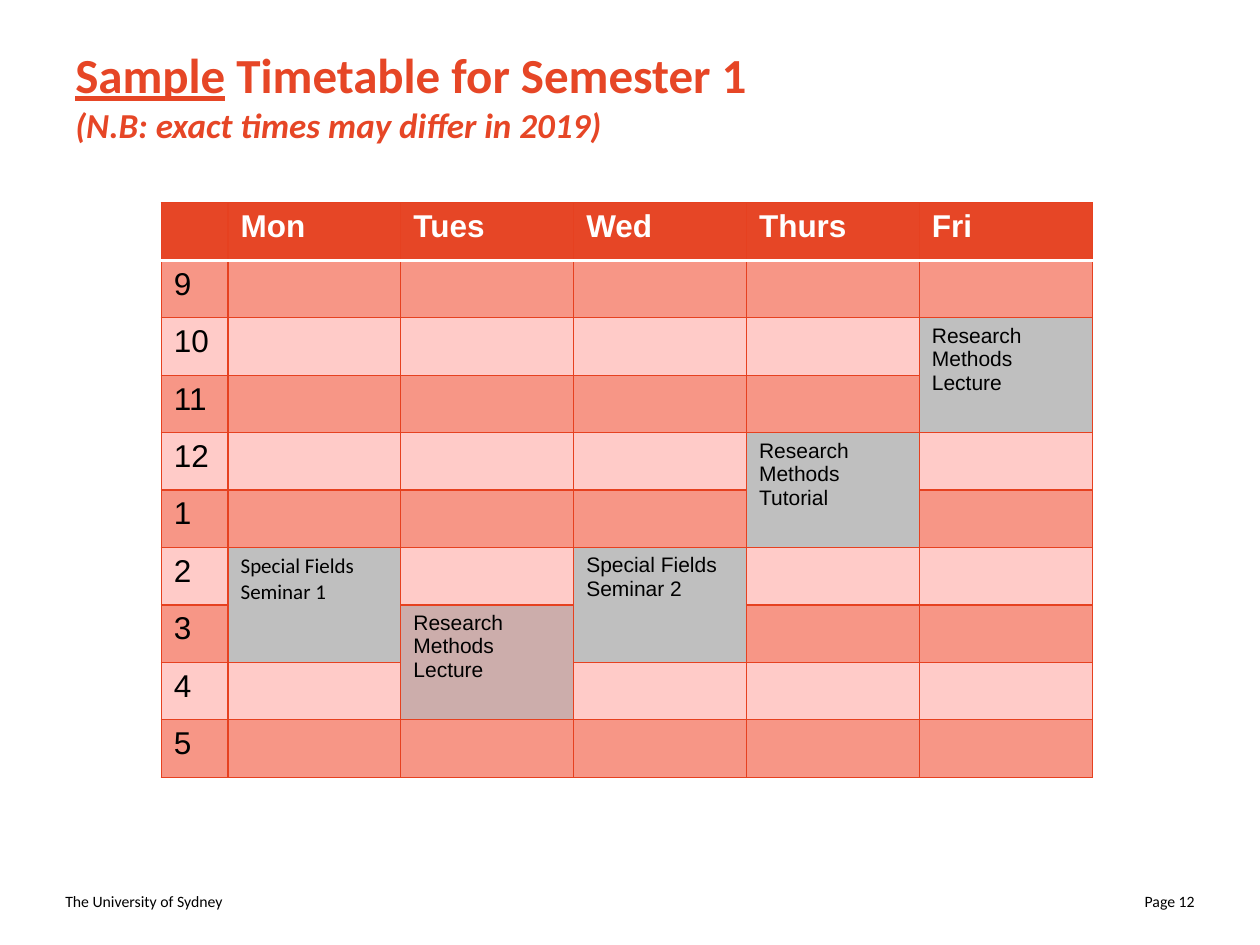
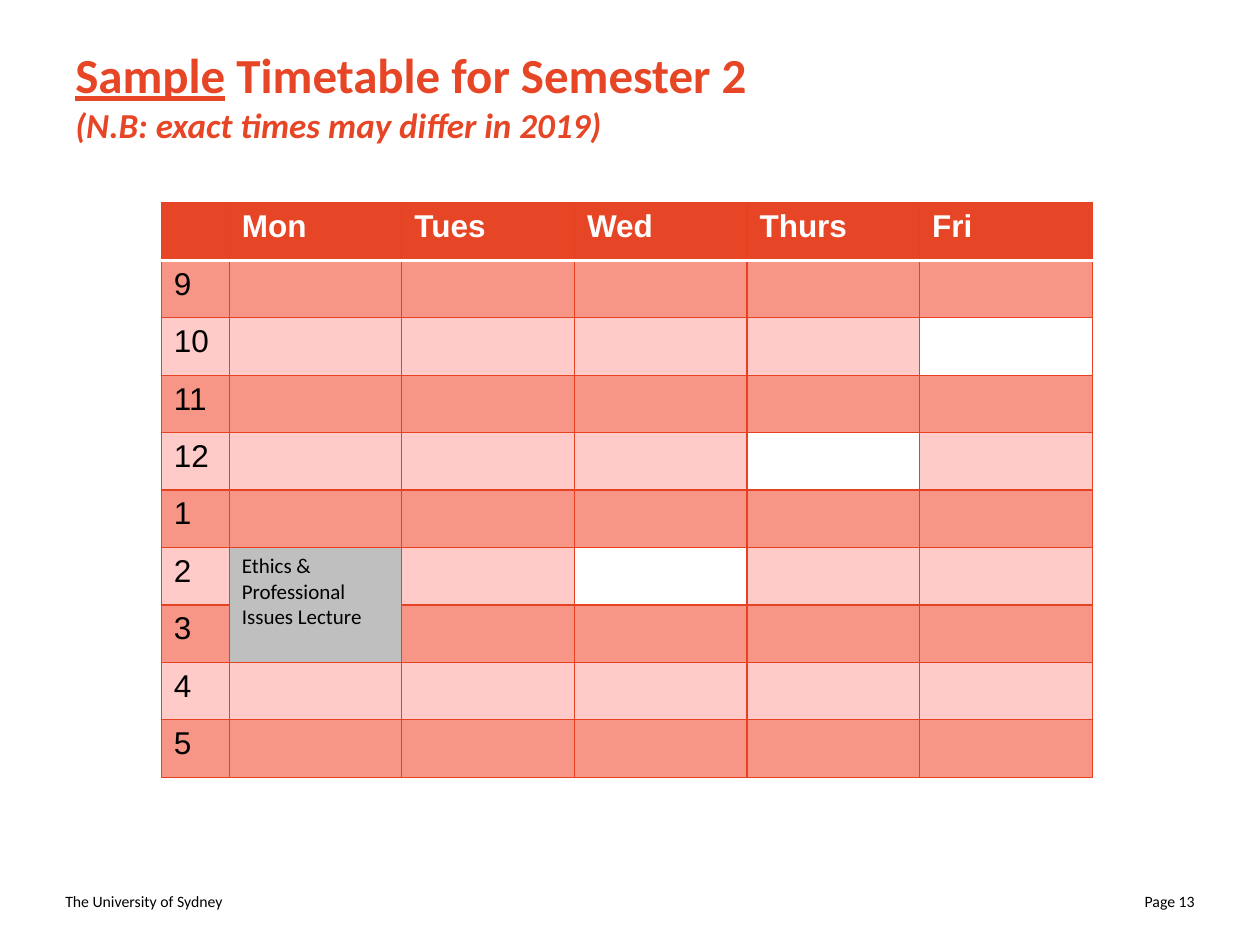
from dataclasses import dataclass
from lxml import etree
from pptx import Presentation
from pptx import util as u
from pptx.dml.color import RGBColor
from pptx.enum import text
from pptx.oxml import ns

DAYS = ["Mon", "Tues", "Wed", "Thurs", "Fri"]
HOURS = ["9", "10", "11", "12", "1", "2", "3", "4", "5"]


@dataclass(frozen=True)
class Theme:
    red: str = "E64626"
    edge: str = "E64120"
    dark: str = "F79686"
    light: str = "FFCBC8"
    grey: str = "BFBFBF"
    rose: str = "CCADAB"
    white: str = "FFFFFF"
    black: str = "000000"
    sans: str = "Calibri"
    grid: str = "Arial"
    big: int = 28
    sub: int = 20
    head: int = 18
    note: int = 12
    foot: int = 9


T = Theme()


class Deck:
    def __init__(self):
        self.prs = Presentation()
        self.prs.slide_width = u.Inches(10)
        self.prs.slide_height = u.Inches(7.5)
        self.slide = None

    def page(self, number):
        self.slide = self.prs.slides.add_slide(self.prs.slide_layouts[6])
        self.footer(0.42, "The University of Sydney", text.PP_ALIGN.LEFT)
        self.footer(7.25, f"Page {number}", text.PP_ALIGN.RIGHT)

    def style(self, run, size, color=T.black, face=T.sans, bold=False):
        font = run.font
        font.name, font.size, font.bold = face, u.Pt(size), bold
        font.color.rgb = RGBColor.from_string(color)

    def box(self, left, top, width, height):
        area = [u.Inches(n) for n in (left, top, width, height)]
        frame = self.slide.shapes.add_textbox(*area).text_frame
        frame.word_wrap = True
        frame.vertical_anchor = text.MSO_ANCHOR.MIDDLE
        return frame.paragraphs[0]

    def footer(self, left, words, align):
        para = self.box(left, 6.95, 2.33, 0.4)
        para.text, para.alignment = words, align
        self.style(para.runs[0], T.foot)

    def title(self, term):
        para = self.box(0.5, 0.13, 9, 1.25)
        para.text = "Sample"
        para.add_run().text = f" Timetable for Semester {term}"
        para.add_line_break()
        para.add_run().text = "(N.B: exact times may differ in 2019)"
        for run, size in zip(para.runs, (T.big, T.big, T.sub)):
            self.style(run, size, T.red, bold=True)
        para.runs[0].font.underline = True
        para.runs[2].font.italic = True

    def border(self, cell, row):
        props = cell._tc.get_or_add_tcPr()
        for spot, side in enumerate("LRTB"):
            rule = (row, side) in ((0, "B"), (1, "T"))
            color, width = (T.white, 2) if rule else (T.edge, 0.75)
            line = etree.Element(ns.qn(f"a:ln{side}"), w=str(u.Pt(width)))
            fill = etree.SubElement(line, ns.qn("a:solidFill"))
            etree.SubElement(fill, ns.qn("a:srgbClr"), val=color)
            props.insert(spot, line)

    def paint(self, cell, color):
        cell.fill.solid()
        cell.fill.fore_color.rgb = RGBColor.from_string(color)

    def label(self, cell, words, *look, **more):
        cell.text_frame.text = words
        self.style(cell.text_frame.paragraphs[0].runs[0], *look, **more)

    def table(self, first, classes, blanks=()):
        size = len(HOURS) + 1, len(DAYS) + 1
        area = [u.Inches(n) for n in (1.28, 1.61, 7.39, 4.56)]
        grid = self.slide.shapes.add_table(*size, *area).table
        grid.first_row = grid.horz_banding = False
        for col, column in enumerate(grid.columns):
            wide = (7.39 - first) / len(DAYS) if col else first
            column.width = u.Inches(wide)

        # Header, bands and borders
        for row in range(size[0]):
            fill = (T.dark if row % 2 else T.light) if row else T.red
            for col in range(size[1]):
                cell = grid.cell(row, col)
                self.paint(cell, fill)
                self.border(cell, row)
        for col, day in enumerate(DAYS, 1):
            self.label(grid.cell(0, col), day, T.head, T.white, T.grid, bold=True)
        for row, hour in enumerate(HOURS, 1):
            self.label(grid.cell(row, 0), hour, T.head, face=T.grid)

        # Two-hour classes and free slots
        def find(day, hour):
            return HOURS.index(hour) + 1, DAYS.index(day) + 1

        for day, hour, words, fill, face in classes:
            row, col = find(day, hour)
            cell = grid.cell(row, col)
            cell.merge(grid.cell(row + 1, col))
            self.paint(cell, fill)
            self.label(cell, words, T.note, face=face)
        for day, hour in blanks:
            self.paint(grid.cell(*find(day, hour)), T.white)


def main():
    deck = Deck()

    # Semester 1
    deck.page(12)
    deck.title(1)
    deck.table(0.53, [
        ("Mon", "2", "Special Fields Seminar 1", T.grey, T.sans),
        ("Tues", "3", "Research Methods Lecture", T.rose, T.grid),
        ("Wed", "2", "Special Fields Seminar 2", T.grey, T.grid),
        ("Thurs", "12", "Research Methods Tutorial", T.grey, T.grid),
        ("Fri", "10", "Research Methods Lecture", T.grey, T.grid),
    ])

    # Semester 2
    deck.page(13)
    deck.title(2)
    deck.table(
        0.54,
        [("Mon", "2", "Ethics & Professional Issues Lecture", T.grey, T.sans)],
        [("Wed", "2"), ("Thurs", "12"), ("Fri", "10")],
    )

    deck.prs.save("out.pptx")


if __name__ == "__main__":
    main()
